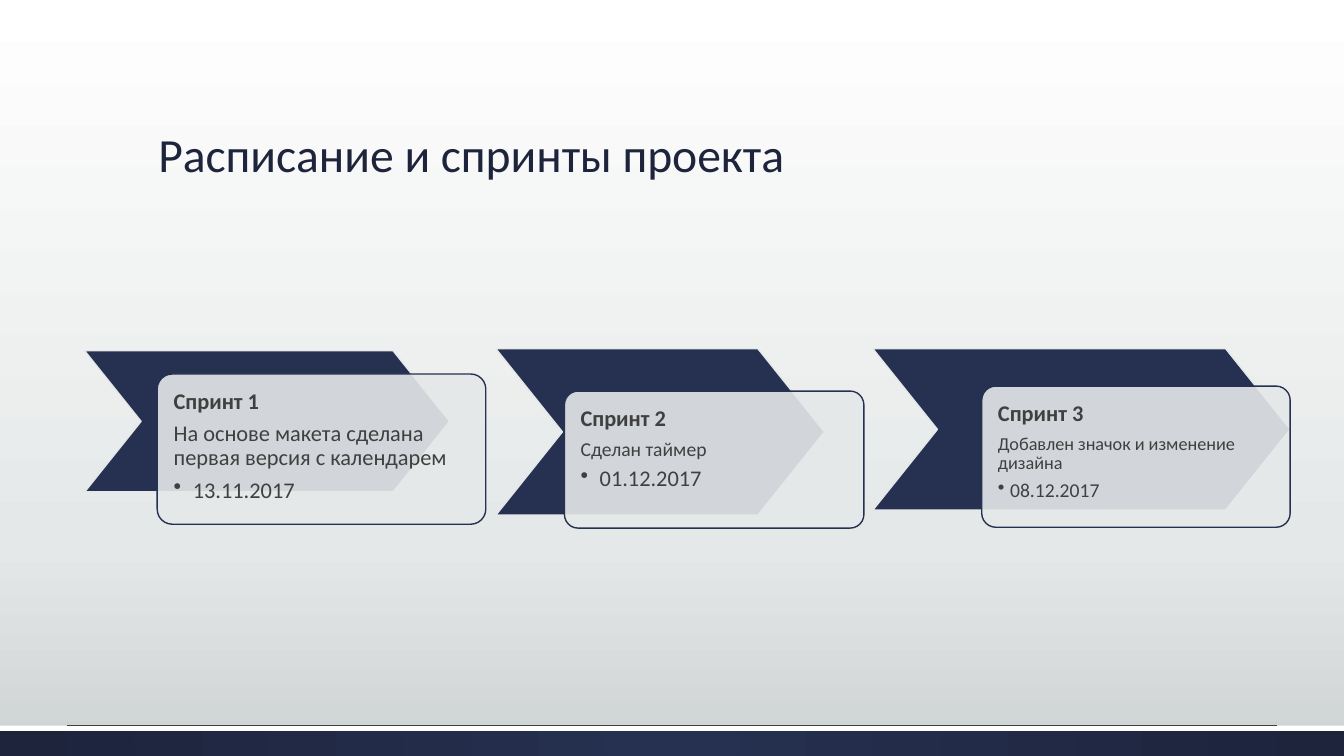
from lxml import etree
from pptx import Presentation
from pptx.dml.color import RGBColor
from pptx.enum.shapes import MSO_CONNECTOR, MSO_SHAPE
from pptx.enum.text import MSO_ANCHOR, MSO_AUTO_SIZE, PP_ALIGN
from pptx.oxml.ns import qn
from pptx.util import Inches, Pt

NAVY, DARK_NAVY, PALE, GREY = "263050", "1D243C", "E5E8E8", "404040"

# Chevron and card as (left, top, width, height) in percent of the slide,
# then heading, text, date, the sizes of text and date, and the bullet indent.
SPRINTS = [
    ((6.3, 46.4, 27.15, 18.67), (11.7, 49.47, 24.45, 19.87),
     "Спринт 1", "На основе макета сделана первая версия с календарем", "13.11.2017",
     16, 16, 0.19),
    ((36.9, 46.13, 24.45, 22), (42, 51.73, 22.28, 18.13),
     "Спринт 2", "Сделан таймер", "01.12.2017", 14, 16, 0.19),
    ((64.95, 46.13, 31.05, 21.33), (73.05, 51.07, 22.95, 18.67),
     "Спринт 3", "Добавлен значок и изменение дизайна", "08.12.2017", 13, 14, 0.12),
]


def color(hex_string):
    return RGBColor.from_string(hex_string)


class SlideBuilder:
    """Holds the style and the current slide; lengths are percent of its size."""

    font = "Calibri"
    heading_size = 16

    def __init__(self, deck):
        self.deck = deck
        self.page = deck.slides.add_slide(deck.slide_layouts[5])

    def place(self, left, top, width, height):
        across, down = self.deck.slide_width / 100, self.deck.slide_height / 100
        return int(left * across), int(top * down), int(width * across), int(height * down)

    def gradient(self, fill, element, stops, circular=False):
        """Fill with (percent, colour) stops, downwards or out from the centre."""
        fill.gradient()
        gradient = next(element.iter(qn("a:gradFill")))
        for child in list(gradient):
            gradient.remove(child)
        stop_list = etree.SubElement(gradient, qn("a:gsLst"))
        for percent, shade in stops:
            stop = etree.SubElement(stop_list, qn("a:gs"), pos=str(percent * 1000))
            etree.SubElement(stop, qn("a:srgbClr"), val=shade)
        if circular:
            route = etree.SubElement(gradient, qn("a:path"), path="circle")
            middle = dict.fromkeys("ltrb", "50000")
            etree.SubElement(route, qn("a:fillToRect"), **middle)
        else:
            etree.SubElement(gradient, qn("a:lin"), ang="5400000", scaled="0")

    def background(self, stops):
        self.gradient(self.page.background.fill, self.page.element, stops)

    def title(self, text, area, size):
        box = self.page.shapes.title
        box.left, box.top, box.width, box.height = self.place(*area)
        frame = box.text_frame
        frame.text = text
        frame.auto_size = MSO_AUTO_SIZE.NONE
        frame.vertical_anchor = MSO_ANCHOR.BOTTOM
        self.style(frame.paragraphs[0], size, DARK_NAVY)

    def style(self, paragraph, size, shade, bold=False, space_after=0):
        paragraph.alignment = PP_ALIGN.LEFT
        paragraph.line_spacing = 0.9
        paragraph.space_after = Pt(space_after)
        for span in paragraph.runs:
            span.font.name = self.font
            span.font.size = Pt(size)
            span.font.bold = bold
            span.font.color.rgb = color(shade)

    def shape(self, kind, area, fill=None, line=None, adjustment=None):
        shape = self.page.shapes.add_shape(kind, *self.place(*area))
        shape.shadow.inherit = False
        if fill:
            shape.fill.solid()
            shape.fill.fore_color.rgb = color(fill)
        if line:
            shape.line.color.rgb = color(line)
            shape.line.width = Pt(1)
        else:
            shape.line.fill.background()
        if adjustment is not None:
            shape.adjustments[0] = adjustment
        return shape

    def rule(self, left, right, top):
        begin_x, y, length, _ = self.place(left, top, right - left, 0)
        line = self.page.shapes.add_connector(
            MSO_CONNECTOR.STRAIGHT, begin_x, y, begin_x + length, y)
        line.line.color.rgb = color(GREY)
        line.line.width = Pt(0.5)
        etree.SubElement(line.element.spPr, qn("a:effectLst"))

    def footer(self):
        bar = self.shape(MSO_SHAPE.RECTANGLE, (0, 96, 100, 4))
        self.gradient(bar.fill, bar.element, [(0, NAVY), (100, DARK_NAVY)], circular=True)
        self.shape(MSO_SHAPE.RECTANGLE, (0, 96, 100, 0.67), "FFFFFF")
        self.rule(5, 95, 95.92)

    def bullet(self, paragraph, indent):
        properties = paragraph._p.get_or_add_pPr()
        properties.set("marL", str(Inches(indent)))
        properties.set("indent", str(-Inches(indent)))
        etree.SubElement(properties, qn("a:buChar"), char="•")

    def sprint(self, chevron, card, heading, text, date, text_size, date_size, indent):
        self.shape(MSO_SHAPE.CHEVRON, chevron, NAVY, PALE, 0.4)
        box = self.shape(MSO_SHAPE.ROUNDED_RECTANGLE, card, PALE, NAVY, 0.1)
        shade = next(box.element.spPr.iter(qn("a:srgbClr")))
        etree.SubElement(shade, qn("a:alpha"), val="90000")

        frame = box.text_frame
        frame.word_wrap = True
        frame.vertical_anchor = MSO_ANCHOR.TOP
        frame.margin_left = frame.margin_right = Inches(0.12)
        frame.margin_top = frame.margin_bottom = Inches(0.12)
        frame.text = "\n".join((heading, text, date))
        title_line, text_line, date_line = frame.paragraphs
        self.style(title_line, self.heading_size, GREY, True, self.heading_size * 0.35)
        self.style(text_line, text_size, GREY, space_after=text_size * 0.35)
        self.style(date_line, date_size, GREY, space_after=date_size * 0.15)
        self.bullet(date_line, indent)


def main():
    deck = Presentation()
    deck.slide_width, deck.slide_height = Inches(13.33), Inches(7.5)
    slide = SlideBuilder(deck)
    slide.background([(0, "FFFFFF"), (72, PALE), (100, "CDD2D2")])
    slide.footer()
    slide.title("Расписание и спринты проекта", (11.03, 6.8, 78, 18), 34)
    for sprint in SPRINTS:
        slide.sprint(*sprint)
    deck.save("out.pptx")


if __name__ == "__main__":
    main()
